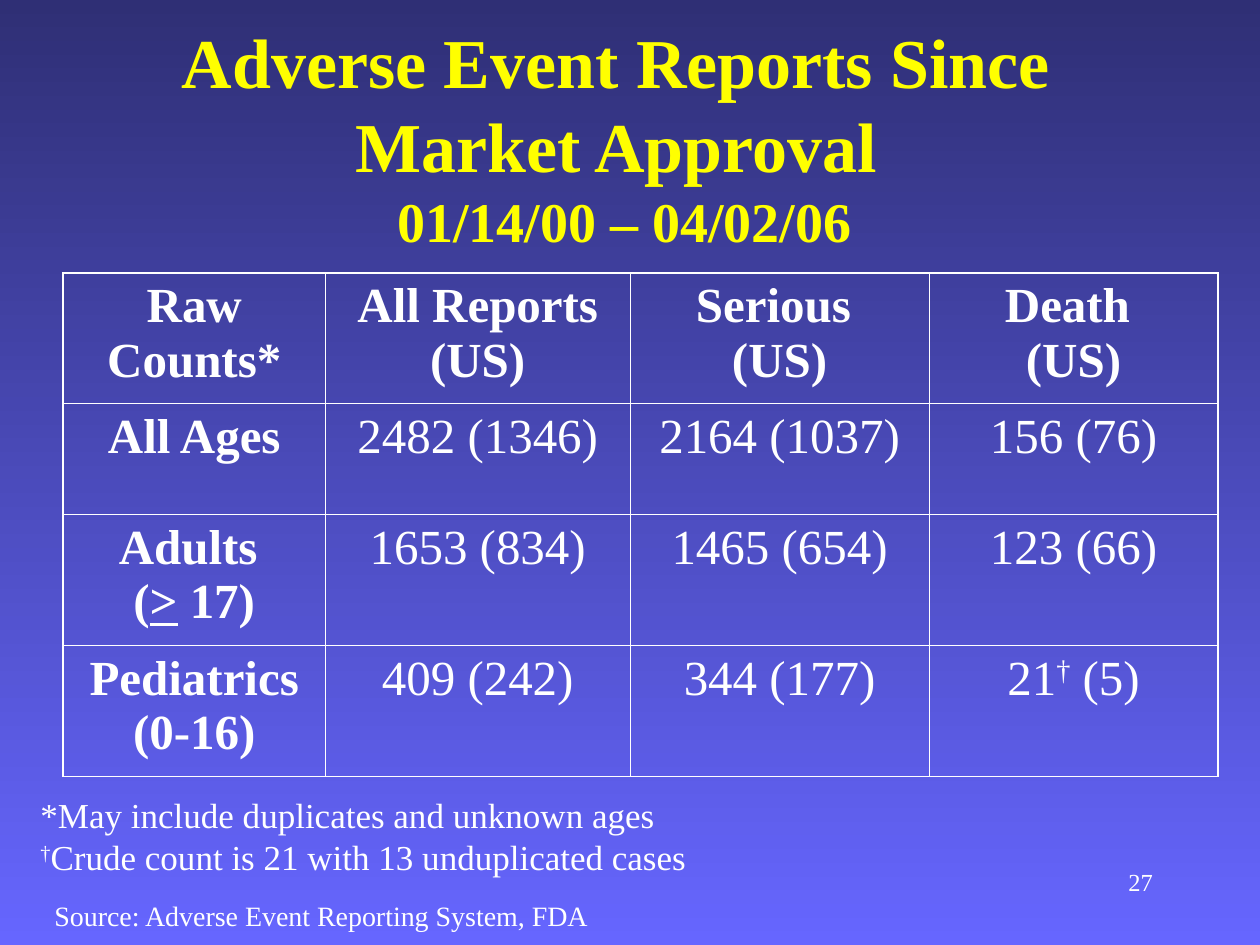
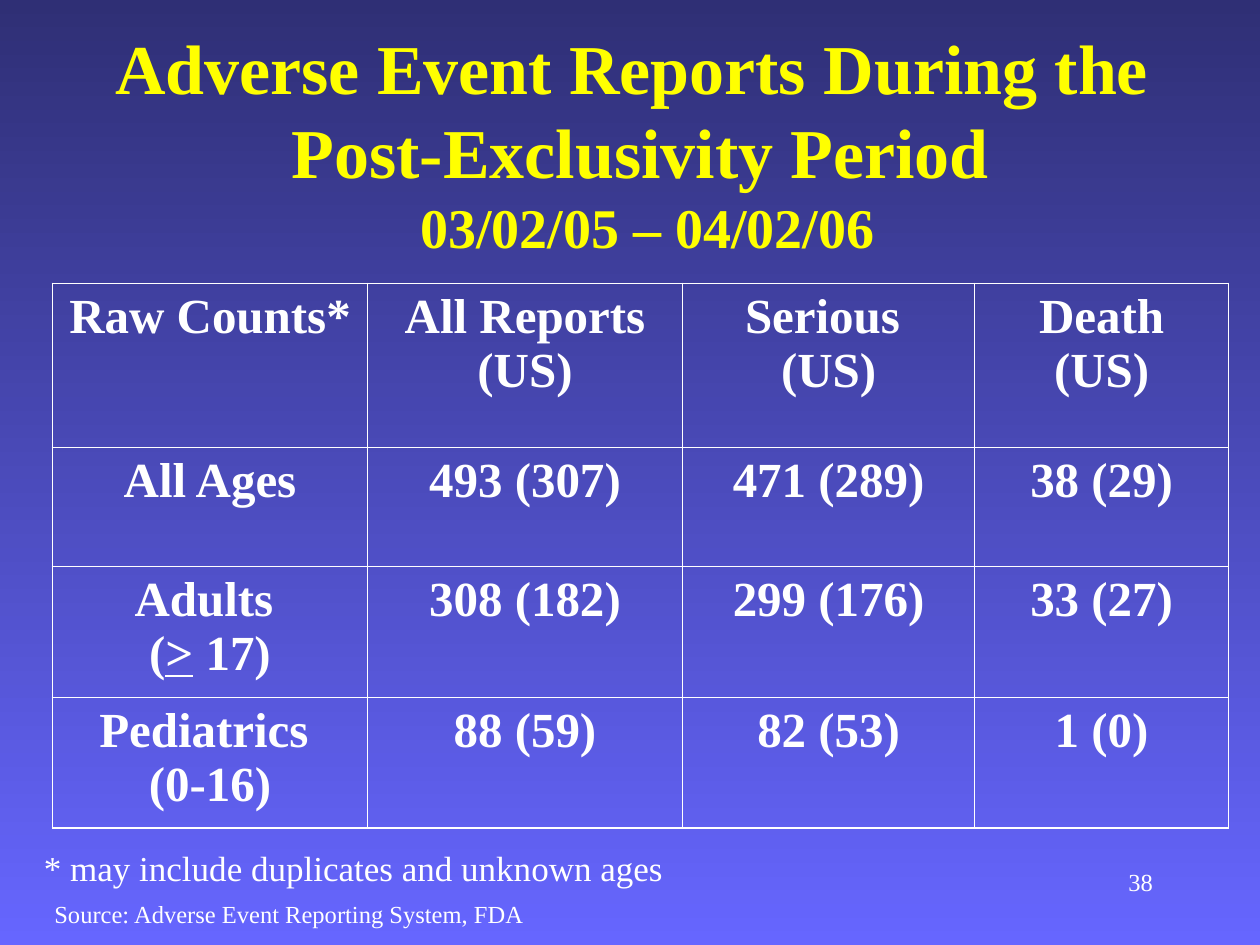
from copy import deepcopy
from dataclasses import dataclass
from itertools import groupby

from lxml import etree
from pptx import Presentation
from pptx.dml.color import RGBColor
from pptx.enum.text import MSO_ANCHOR, MSO_AUTO_SIZE, PP_ALIGN
from pptx.oxml.ns import qn
from pptx.util import Pt

LEFT, MID, RIGHT = PP_ALIGN.LEFT, PP_ALIGN.CENTER, PP_ALIGN.RIGHT
FIXED, GROW = MSO_AUTO_SIZE.NONE, MSO_AUTO_SIZE.SHAPE_TO_FIT_TEXT
CENTER = MSO_ANCHOR.MIDDLE

# Content: ">" is underlined and "†" raised wherever they occur
SOURCE = "Source: Adverse Event Reporting System, FDA"
SLIDES = [
    {
        "title": ["Adverse Event Reports Since ", "Market Approval ",
                  "01/14/00 – 04/02/06"],
        "title_box": (6, 18, 702, 120),
        "rows": [
            ["Raw Counts*", "All Reports (US)", "Serious \n(US)", "Death \n(US)"],
            ["All Ages", "2482 (1346)", "2164 (1037)", "156 (76)"],
            ["Adults \n(> 17)", "1653 (834)", "1465 (654)", "123 (66)"],
            ["Pediatrics (0-16)", "409 (242)", "344 (177)", "21† (5)"],
        ],
        "origin": (36, 156),
        "widths": [150, 174, 171, 165],
        "heights": [74.8, 63.4, 74.8, 74.8],
        "bold_data": False,
        "note": "*May include duplicates and unknown ages\n"
                "†Crude count is 21 with 13 unduplicated cases",
        "note_box": (16, 450, 384, 55.4),
        "note_wrap": False,
        "source_size": 16,
        "page": "27",
    },
    {
        "title": ["Adverse Event Reports During the ",
                  "Post-Exclusivity Period", " 03/02/05 – 04/02/06"],
        "title_box": (48, 24, 636, 114),
        "rows": [
            ["Raw Counts*", "All Reports (US)", "Serious \n(US)", "Death (US)"],
            ["All Ages", "493 (307)", "471 (289)", "38 (29)"],
            ["Adults \n(> 17)", "308 (182)", "299 (176)", "33 (27)"],
            ["Pediatrics \n(0-16)", "88 (59)", "82 (53)", "1 (0)"],
        ],
        "origin": (30, 162),
        "widths": [180, 180, 167, 145],
        "heights": [93.6, 68, 74.8, 74.8],
        "bold_data": True,
        "note": "* may include duplicates and unknown ages",
        "note_box": (18, 480, 648, 31.4),
        "note_wrap": True,
        "source_size": 14,
        "page": "38",
    },
]
SOURCE_BOX = (24, 510, 546, 26)
PAGE_BOX = (516, 492, 150, 36)


@dataclass(frozen=True)
class Theme:
    font: str = "Times New Roman"
    top: str = "2F2F75"
    base: str = "6666FF"
    gold: str = "FFFF00"
    white: str = "FFFFFF"
    title: int = 40
    dates: int = 32
    cell: int = 28
    note: int = 20
    page: int = 14
    outer: float = 1.08
    inner: float = 0.45


THEME = Theme()


# Text helpers
def style(run, size, color=THEME.white, bold=False):
    font = run.font
    font.name, font.size, font.bold = THEME.font, Pt(size), bold
    font.color.rgb = RGBColor.from_string(color)


def mark(char):
    return char if char in ">†" else ""


def fill_text(frame, text, size, bold=False, align=LEFT):
    for i, line in enumerate(text.split("\n")):
        para = frame.add_paragraph() if i else frame.paragraphs[0]
        para.alignment = align
        for kind, chars in groupby(line, mark):
            run = para.add_run()
            run.text = "".join(chars)
            style(run, size, bold=bold)
            if kind == ">":
                run.font.underline = True
            elif kind == "†":
                run.font._element.set("baseline", "30000")


def add_text(slide, box, text, size, align=LEFT, wrap=True, fit=GROW):
    frame = slide.shapes.add_textbox(*map(Pt, box)).text_frame
    frame.word_wrap, frame.auto_size = wrap, fit
    fill_text(frame, text, size, align=align)


# Title: large lines, with the dates smaller below
def set_title(slide, lines, box):
    shape = slide.shapes.title
    shape.left, shape.top, shape.width, shape.height = map(Pt, box)
    frame = shape.text_frame
    frame.text = "\v".join(lines)
    frame.auto_size, frame.vertical_anchor = FIXED, CENTER
    para = frame.paragraphs[0]
    para.alignment = MID
    for run in para.runs:
        style(run, THEME.title, THEME.gold, True)
    props = para.runs[0].font._element
    for gap in para._p.findall(qn("a:br")):
        gap.insert(0, deepcopy(props))
    para.runs[-1].font.size = Pt(THEME.dates)


# Table: heavier lines around the outside
def set_edges(cell, outer):
    props = cell._tc.get_or_add_tcPr()
    for i, (side, heavy) in enumerate(outer.items()):
        width = Pt(THEME.outer if heavy else THEME.inner)
        line = etree.Element(qn(f"a:ln{side}"), w=str(int(width)))
        fill = etree.SubElement(line, qn("a:solidFill"))
        etree.SubElement(fill, qn("a:srgbClr"), val=THEME.white)
        props.insert(i, line)


def add_counts(slide, data):
    rows, widths, heights = data["rows"], data["widths"], data["heights"]
    size = sum(widths), sum(heights)
    table = slide.shapes.add_table(
        len(rows), len(widths), *map(Pt, data["origin"] + size)).table
    table.first_row = table.horz_banding = False
    for col, width in zip(table.columns, widths):
        col.width = Pt(width)
    for row, height in zip(table.rows, heights):
        row.height = Pt(height)
    for r, texts in enumerate(rows):
        for c, text in enumerate(texts):
            cell = table.cell(r, c)
            bold = data["bold_data"] or r == 0 or c == 0
            fill_text(cell.text_frame, text, THEME.cell, bold, MID)
            cell.fill.background()
            set_edges(cell, {"L": c == 0, "R": c == len(widths) - 1,
                             "T": r == 0, "B": r == len(rows) - 1})


def set_backdrop(master):
    fill = master.background.fill
    fill.gradient()
    fill.gradient_angle = 270
    for stop, color in zip(fill.gradient_stops, (THEME.top, THEME.base)):
        stop.color.rgb = RGBColor.from_string(color)


def main():
    prs = Presentation()
    prs.slide_width, prs.slide_height = Pt(720), Pt(540)
    set_backdrop(prs.slide_master)
    layout = prs.slide_layouts.get_by_name("Title Only")
    for data in SLIDES:
        slide = prs.slides.add_slide(layout)
        set_title(slide, data["title"], data["title_box"])
        add_counts(slide, data)
        add_text(slide, data["note_box"], data["note"], THEME.note,
                 wrap=data["note_wrap"])
        add_text(slide, SOURCE_BOX, SOURCE, data["source_size"])
        add_text(slide, PAGE_BOX, data["page"], THEME.page, RIGHT, fit=FIXED)
    prs.save("out.pptx")


if __name__ == "__main__":
    main()
